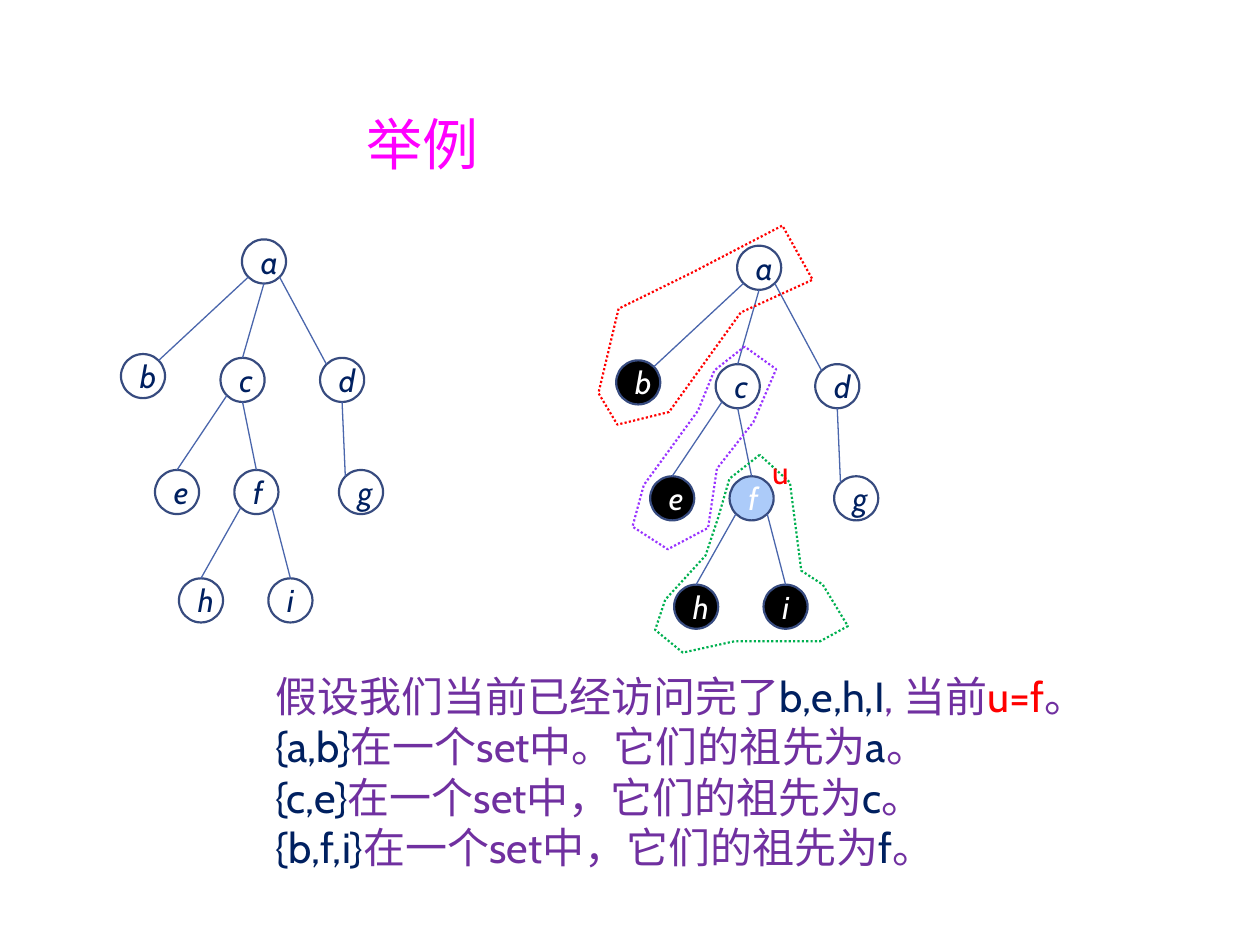
from dataclasses import dataclass

from lxml import etree
from pptx import Presentation, util as u
from pptx.dml.color import RGBColor
from pptx.enum import dml, shapes, text
from pptx.oxml.ns import qn


@dataclass(frozen=True)
class Theme:
    latin: str = "Cabin"
    asian: str = "Noto Sans CJK SC"
    title: int = 32
    body: int = 24
    label: int = 18
    thin: float = 0.75
    thick: float = 1.25
    pink: str = "FF00FF"
    navy: str = "002060"
    purple: str = "7030A0"
    violet: str = "9933FF"
    red: str = "FF0000"
    green: str = "00B050"
    white: str = "FFFFFF"
    black: str = "000000"
    sky: str = "ACCBF9"
    rim: str = "374B7F"
    edge: str = "4A66AC"


SIZE = 0.35  # diameter of a tree node
NODES = {
    "a": (1.92, 1.9), "b": (0.96, 2.81), "c": (1.75, 2.84),
    "d": (2.54, 2.84), "e": (1.23, 3.73), "f": (1.86, 3.73),
    "g": (2.69, 3.73), "h": (1.42, 4.59), "i": (2.13, 4.59),
}
# Parent, side it leaves from, child, side it arrives at
EDGES = [
    ("a", "SW", "b", "NE"), ("a", "S", "c", "N"), ("a", "SE", "d", "NW"),
    ("c", "SW", "e", "N"), ("c", "S", "f", "N"), ("d", "S", "g", "NW"),
    ("f", "SW", "h", "N"), ("f", "SE", "i", "N"),
]


def port(name, side):
    """Point on a node's rim in a compass direction."""
    x, y = NODES[name]
    reach = SIZE / 2 * (0.71 if len(side) == 2 else 1)
    right = ("E" in side) - ("W" in side)
    down = ("S" in side) - ("N" in side)
    return x + SIZE / 2 + right * reach, y + SIZE / 2 + down * reach


class Deck:
    def __init__(self, theme):
        self.theme = theme
        self.file = Presentation()
        self.file.slide_width = u.Inches(10)
        self.file.slide_height = u.Inches(7.5)
        self.slide = self.file.slides.add_slide(self.file.slide_layouts[6])

    def font(self, para, size, color, face=None):
        font = para.font
        font.size = u.Pt(size)
        font.color.rgb = RGBColor.from_string(color)
        font.name = face or self.theme.latin
        asian = etree.SubElement(para._p.pPr.find(qn("a:defRPr")), qn("a:ea"))
        asian.set("typeface", self.theme.asian)

    def stroke(self, line, color, width):
        line.color.rgb = RGBColor.from_string(color)
        line.width = u.Pt(width)

    def label(self, box, lines, size, color, face=None, wrap=True):
        """Add a text box; each line is a list of (text, colour) runs."""
        frame = self.slide.shapes.add_textbox(*map(u.Inches, box)).text_frame
        frame.word_wrap = wrap
        for n, runs in enumerate(lines):
            para = frame.add_paragraph() if n else frame.paragraphs[0]
            self.font(para, size, color, face)
            for words, tint in runs:
                run = para.add_run()
                run.text = words
                run.font.color.rgb = RGBColor.from_string(tint)
        return frame

    def node(self, name, x, y, fill, color):
        shape = self.slide.shapes.add_shape(
            shapes.MSO_SHAPE.OVAL, *map(u.Inches, (x, y, SIZE, SIZE)))
        shape.shadow.inherit = False
        shape.fill.solid()
        shape.fill.fore_color.rgb = RGBColor.from_string(fill)
        self.stroke(shape.line, self.theme.rim, self.theme.thick)
        para = shape.text_frame.paragraphs[0]
        para.text = name
        para.alignment = text.PP_ALIGN.CENTER
        self.font(para, self.theme.label, color)
        para.font.italic = True

    def link(self, start, end):
        line = self.slide.shapes.add_connector(
            shapes.MSO_CONNECTOR.STRAIGHT, *map(u.Inches, (*start, *end)))
        self.stroke(line.line, self.theme.edge, self.theme.thin)
        etree.SubElement(line._element.spPr, qn("a:effectLst"))

    def tree(self, dx=0, dy=0, fills=None):
        """Draw the tree moved by dx, dy; filled nodes get white letters."""
        fills = fills or {}
        theme = self.theme
        for name, (x, y) in NODES.items():
            color = theme.white if name in fills else theme.navy
            self.node(name, x + dx, y + dy, fills.get(name, theme.white), color)
        for top, out, low, into in EDGES:
            ends = [(x + dx, y + dy) for x, y in (port(top, out), port(low, into))]
            self.link(*ends)

    def loop(self, points, color):
        """Outline a set of nodes with a dotted polygon."""
        first, *rest = [(u.Inches(x), u.Inches(y)) for x, y in points]
        pen = self.slide.shapes.build_freeform(*first)
        pen.add_line_segments(rest, close=True)
        shape = pen.convert_to_shape()
        shape.shadow.inherit = False
        shape.fill.background()
        self.stroke(shape.line, color, self.theme.thick)
        shape.line.dash_style = dml.MSO_LINE.ROUND_DOT


def main():
    theme = Theme()
    deck = Deck(theme)
    title = deck.label((2.81, 0.88, 7.19, 1.15), [[("举例", theme.pink)]],
                       theme.title, theme.pink, theme.asian)
    title.paragraphs[0].line_spacing = 0.9

    deck.tree()
    seen = dict.fromkeys("behi", theme.black)
    deck.tree(3.93, 0.05, {**seen, "f": theme.sky})

    navy, purple = theme.navy, theme.purple
    lines = [[("假设我们当前已经访问完了", purple), ("b,e,h,I", navy),
              (", 当前", purple), ("u=f", theme.red), ("。", purple)]]
    for group, mark, root in (("{a,b}", "。", "a"), ("{c,e}", "，", "c"),
                              ("{b,f,i}", "，", "f")):
        lines.append([(group, navy), (f"在一个set中{mark}它们的祖先为", purple),
                      (root, navy), ("。", purple)])
    deck.label((2.09, 5.27, 6.87, 1.72), lines, theme.body, purple)

    deck.loop([(4.91, 2.45), (4.75, 3.12), (4.9, 3.37), (5.31, 3.27),
               (5.88, 2.48), (6.45, 2.22), (6.21, 1.79), (5.5, 2.16)],
              theme.red)
    deck.loop([(5.91, 2.75), (5.67, 2.94), (5.54, 3.26), (5.11, 3.85),
               (5.02, 4.18), (5.3, 4.36), (5.62, 4.19), (5.69, 3.72),
               (5.98, 3.35), (6.16, 2.93)], theme.violet)
    deck.loop([(6.03, 3.61), (5.79, 3.8), (5.7, 4.11), (5.6, 4.41),
               (5.28, 4.76), (5.2, 5), (5.42, 5.18), (5.83, 5.09),
               (6.51, 5.09), (6.73, 4.97), (6.53, 4.64), (6.36, 4.53),
               (6.27, 3.83)], theme.green)
    deck.label((6.03, 3.55, 0.33, 0.4), [[("u", theme.red)]],
               theme.label, theme.red, wrap=False)
    deck.file.save("out.pptx")


if __name__ == "__main__":
    main()
